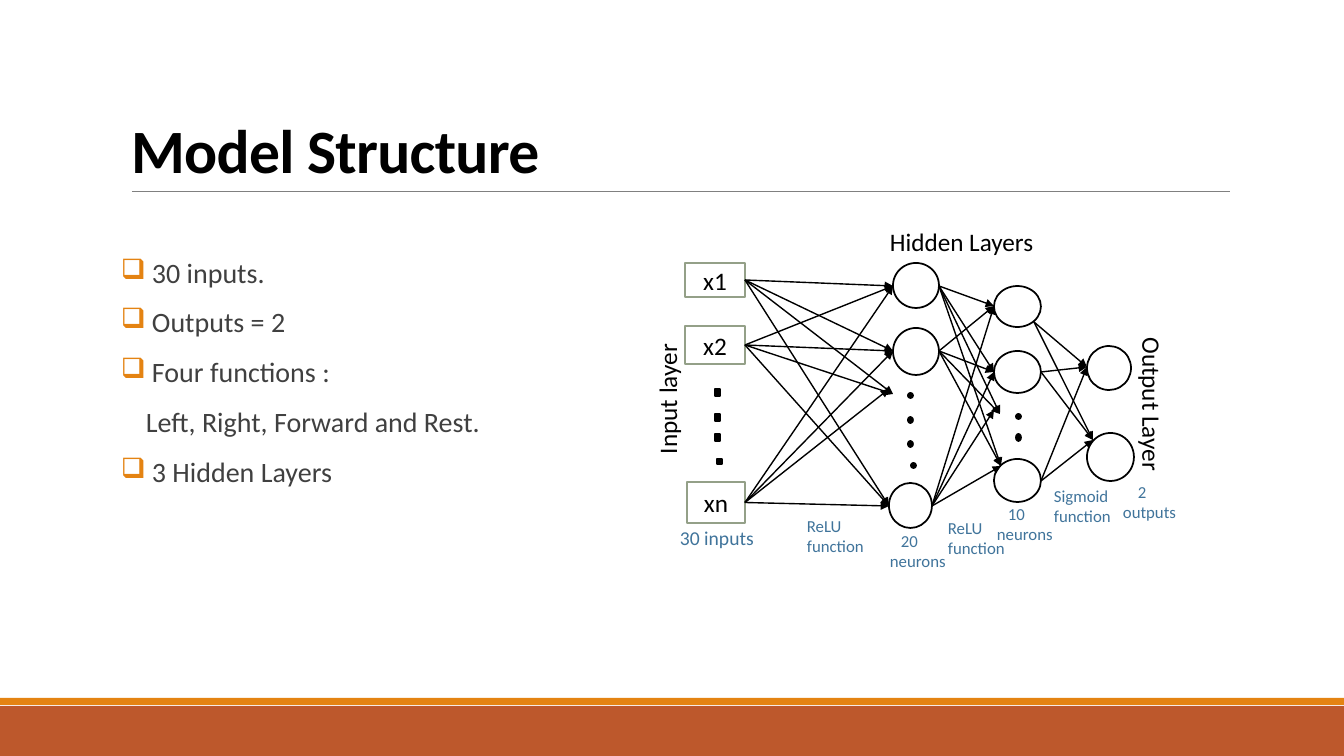
import pptx
import pptx.util
import pptx.dml.color
import pptx.enum.shapes
import pptx.enum.text
import pptx.oxml.ns
import lxml.etree

RGB = pptx.dml.color.RGBColor
BLACK, WHITE = RGB(0, 0, 0), RGB(255, 255, 255)
RUST, AMBER = RGB(0xBD, 0x58, 0x2C), RGB(0xE4, 0x83, 0x12)
GRAY, DARK = RGB(0x80, 0x80, 0x80), RGB(0x40, 0x40, 0x40)
SAGE, BLUE = RGB(0x94, 0xA0, 0x88), RGB(0x40, 0x74, 0x9B)
FONT = "Calibri"
RECT = pptx.enum.shapes.MSO_SHAPE.RECTANGLE
OVAL = pptx.enum.shapes.MSO_SHAPE.OVAL
ANCHOR = pptx.enum.text.MSO_ANCHOR
ALIGN = pptx.enum.text.PP_ALIGN
FIT = pptx.enum.text.MSO_AUTO_SIZE

# Content: places are left, top, width, height in px
TITLE = "Model Structure"
POINTS = [  # text, has bullet
    ("30 inputs.", True),
    ("Outputs = 2", True),
    ("Four functions :", True),
    ("Left, Right, Forward and Rest.", False),
    ("3 Hidden Layers", True),
]
INPUTS = [
    ("x1", (685, 263, 60, 34)),
    ("x2", (685, 326, 60, 38)),
    ("xn", (687, 482, 58, 41)),
]
NEURONS = [
    (893, 263, 46, 45), (893, 328, 46, 47), (889, 483, 43, 45),
    (994, 286, 47, 41), (994, 351, 47, 42), (994, 459, 47, 43),
    (1087, 346, 44, 44), (1087, 433, 47, 48),
]
DOTS = [
    (RECT, (715, 389, 5, 7)), (RECT, (715, 414, 5, 7)),
    (RECT, (715, 434, 5, 7)), (RECT, (717, 459, 5, 5)),
    (OVAL, (908, 393, 5, 5)), (OVAL, (908, 417, 5, 6)),
    (OVAL, (908, 441, 5, 6)), (OVAL, (911, 463, 5, 5)),
    (OVAL, (1016, 414, 5, 5)), (OVAL, (1016, 434, 5, 7)),
]
# Each start of a layer runs to each of the ends beside it
FIRST = [(893, 286), (893, 351), (893, 394), (889, 506)]
FIRST_LOW = [(893, 286), (893, 351), (889, 389), (889, 506)]
SECOND = [(994, 306), (994, 372), (1000, 414), (1001, 466)]
SECOND_LOW = [(994, 306), (994, 372), (994, 410), (1001, 466)]
OUT = [(1087, 367), (1093, 440)]
FANS = [
    ((939, 286), SECOND), ((939, 351), SECOND), ((932, 506), SECOND_LOW),
    ((1034, 322), OUT), ((1041, 372), OUT), ((1041, 481), OUT),
]
LABELS = [  # lines, place, size, colour, turn, indent of first line
    (["Input layer"], (601, 378, 132, 40), 18, BLACK, 270, 0),
    (["Output Layer"], (1075, 385, 155, 40), 18, BLACK, 90, 0),
    (["Hidden Layers"], (880, 221, 165, 40), 18, BLACK, 0, 0),
    (["ReLU", "function"], (797, 511, 78, 50), 12, BLUE, 0, 0),
    (["ReLU", "function"], (938, 513, 78, 50), 12, BLUE, 0, 0),
    (["Sigmoid", "function"], (1044, 481, 78, 50), 12, BLUE, 0, 0),
    (["30 inputs"], (670, 521, 100, 34), 14, BLUE, 0, 0),
    (["20", "neurons"], (880, 526, 77, 50), 12, BLUE, 0, 11),
    (["10", "neurons"], (987, 499, 77, 50), 12, BLUE, 0, 11),
    (["2", "outputs"], (1113, 477, 74, 50), 12, BLUE, 0, 15),
]


def px(n):
    return round(n * 914400 / 100.8)


def style(para, size, color):
    para.font.name, para.font.size = FONT, pptx.util.Pt(size)
    para.font.color.rgb = color


def sub(parent, tag, **attrs):
    return lxml.etree.SubElement(parent, pptx.oxml.ns.qn(tag), **attrs)


def block(kind, place, fill, edge=None):
    shape = slide.shapes.add_shape(kind, *map(px, place))
    shape.shadow.inherit = False
    shape.fill.solid()
    shape.fill.fore_color.rgb = fill
    if edge is None:
        shape.line.fill.background()
    else:
        shape.line.color.rgb = edge
        shape.line.width = pptx.util.Pt(1.25)
    return shape


def line(start, end, color, width, head=False):
    link = slide.shapes.add_connector(
        pptx.enum.shapes.MSO_CONNECTOR.STRAIGHT, *map(px, start + end))
    link.line.color.rgb = color
    link.line.width = pptx.util.Pt(width)
    if head:
        sub(link.line._get_or_add_ln(), "a:tailEnd", type="triangle")
    sub(link._element.spPr, "a:effectLst")
    return link


def indent(para, left, hang=0):
    props = para._p.get_or_add_pPr()
    props.set("marL", str(px(left)))
    props.set("indent", str(-px(hang)))
    return props


deck = pptx.Presentation()
deck.slide_width, deck.slide_height = px(1344), px(756)
slide = deck.slides.add_slide(deck.slide_layouts[5])

# Bands and rule
block(RECT, (0, 706, 1344, 50), RUST)
block(RECT, (0, 698, 1344, 7), AMBER)
line((132, 191), (1230, 191), GRAY, 0.5)

# Title
title = slide.shapes.title
title.left, title.top, title.width, title.height = map(px, (121, 31, 1109, 160))
frame = title.text_frame
frame.text = TITLE
frame.auto_size = FIT.NONE
frame.vertical_anchor = ANCHOR.BOTTOM
para = frame.paragraphs[0]
para.alignment = ALIGN.LEFT
para.line_spacing = 0.85
style(para, 44, BLACK)
para.font.bold = True
para.runs[0]._r.get_or_add_rPr().set("spc", "-50")

# Points
frame = slide.shapes.add_textbox(*map(px, (121, 254, 461, 381))).text_frame
frame.word_wrap = True
frame.margin_left = frame.margin_right = 0
for i, (text, mark) in enumerate(POINTS):
    para = frame.add_paragraph() if i else frame.paragraphs[0]
    para.text = text
    para.line_spacing = 0.9
    para.space_before = pptx.util.Pt(12 if i else 0)
    para.space_after = pptx.util.Pt(2)
    if mark:
        props = indent(para, 31, 31)
        sub(sub(props, "a:buClr"), "a:srgbClr", val=str(AMBER))
        sub(props, "a:buChar", char="❑")
    else:
        indent(para, 25)
    style(para, 20, DARK)

# Input boxes with their arrows
for text, place in INPUTS:
    box = block(RECT, place, WHITE, SAGE)
    frame = box.text_frame
    frame.text = text
    frame.word_wrap = False
    frame.vertical_anchor = ANCHOR.MIDDLE
    frame.paragraphs[0].alignment = ALIGN.CENTER
    style(frame.paragraphs[0], 18, BLACK)
    x, y, w, h = place
    for end in FIRST_LOW if text == "xn" else FIRST:
        line((x + w, y + h // 2), end, BLACK, 1, True).begin_connect(box, 3)

# Neurons, dots and the other arrows
for place in NEURONS:
    block(OVAL, place, WHITE, BLACK)
for kind, place in DOTS:
    block(kind, place, BLACK, BLACK)
for start, ends in FANS:
    for end in ends:
        line(start, end, BLACK, 1, True)

# Labels
for lines, place, size, color, turn, inset in LABELS:
    box = slide.shapes.add_textbox(*map(px, place))
    box.rotation = turn
    frame = box.text_frame
    frame.word_wrap = False
    frame.auto_size = FIT.SHAPE_TO_FIT_TEXT
    frame.text = "\n".join(lines)
    if inset:
        indent(frame.paragraphs[0], inset)
    for para in frame.paragraphs:
        style(para, size, color)

deck.save("out.pptx")
